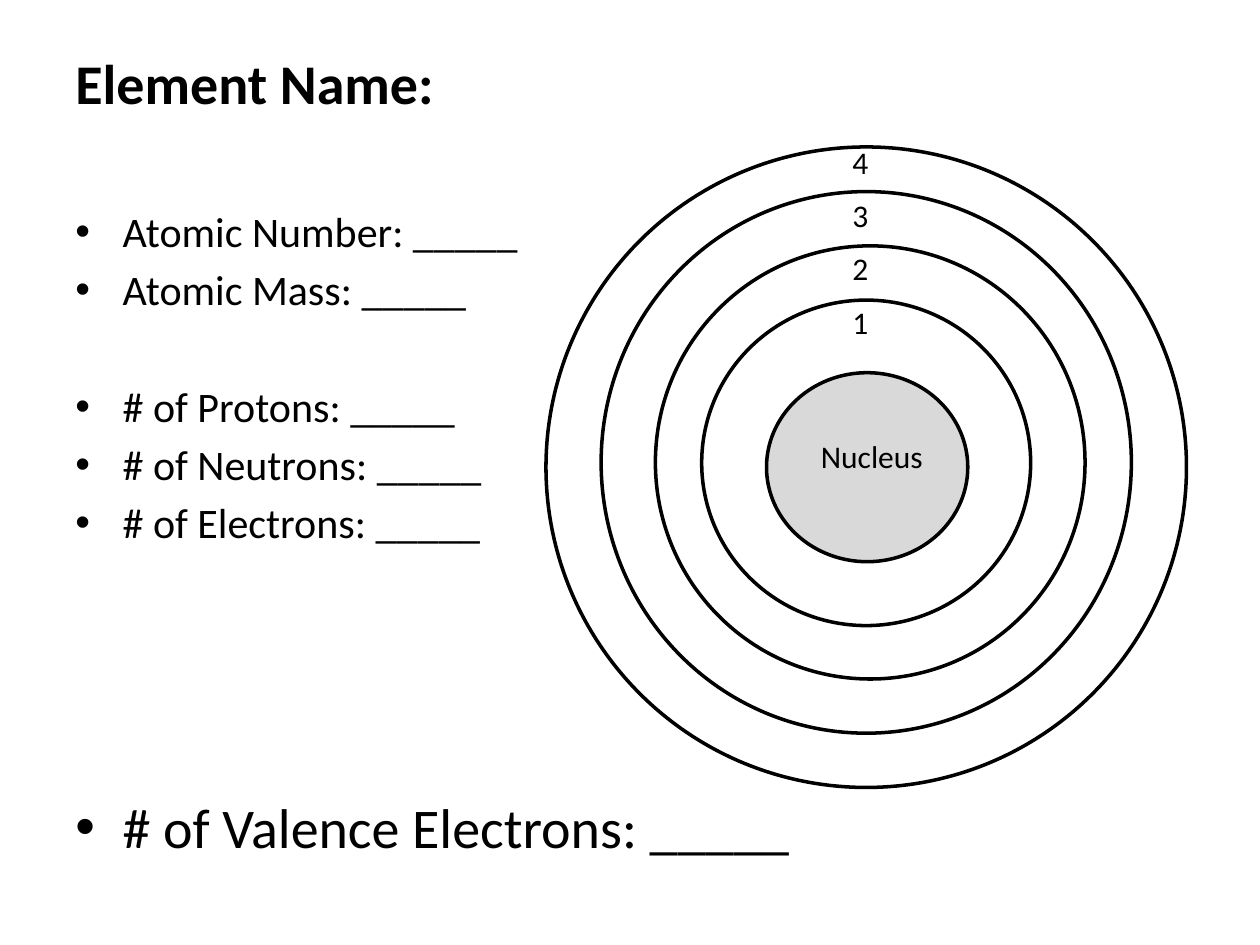
from lxml.etree import SubElement
from pptx import Presentation
from pptx.dml.color import RGBColor
from pptx.enum.shapes import MSO_SHAPE
from pptx.enum.text import MSO_ANCHOR, MSO_AUTO_SIZE
from pptx.oxml.ns import qn
from pptx.util import Pt

BLACK = RGBColor(0, 0, 0)
NUCLEUS_GREY = RGBColor(0xD9, 0xD9, 0xD9)
HANGING = Pt(27)
FIELDS = [
    ("Atomic Number: _____", 24, 0),
    ("Atomic Mass: _____", 24, 4.4),
    ("# of Protons: _____", 24, 38),
    ("# of Neutrons: _____", 24, 4.4),
    ("# of Electrons: _____", 24, 4.4),
    ("# of Valence Electrons: _____", 32, 140),
]
RINGS = [
    (343.5, 109.5, 303, 309.5, None),
    (401, 171.5, 188, 186, None),
    (374.5, 140.5, 245.5, 247.5, None),
    (438, 213, 115, 108, NUCLEUS_GREY),
    (312, 84, 366, 366, None),
]
SHELL_COUNT = 4
SHELL_LABEL_TOP = 78
SHELL_LABEL_STEP = 30.5


def style(paragraph, size, bold=False):
    """Set the font of a whole paragraph."""
    font = paragraph.font
    font.name = "Calibri"
    font.size = Pt(size)
    font.bold = bold
    font.color.rgb = BLACK


def add_text_frame(slide, left, top, width, height, wrap=True):
    """Add an empty text box and return its frame."""
    box = slide.shapes.add_textbox(Pt(left), Pt(top), Pt(width), Pt(height))
    box.text_frame.word_wrap = wrap
    return box.text_frame


def add_title(slide, wording):
    """Add the bold heading."""
    heading = add_text_frame(slide, 36, 21.6, 648, 50.4)
    heading.vertical_anchor = MSO_ANCHOR.MIDDLE
    heading.text = wording
    style(heading.paragraphs[0], 32, bold=True)


def add_fields(slide):
    """Add the bulleted blanks to fill in."""
    worksheet = add_text_frame(slide, 36, 114, 648, 426)
    for index, (wording, size, gap) in enumerate(FIELDS):
        field = worksheet.add_paragraph() if index else worksheet.paragraphs[0]
        field.text = wording
        properties = field._p.get_or_add_pPr()
        properties.set("marL", str(HANGING))
        properties.set("indent", str(-HANGING))
        SubElement(properties, qn("a:buFont"), typeface="Arial")
        SubElement(properties, qn("a:buChar"), char="•")
        style(field, size)
        if gap:
            field.space_before = Pt(gap)


def add_atom(slide):
    """Add the grouped shells and nucleus."""
    atom = slide.shapes.add_group_shape()
    for *bounds, colour in RINGS:
        ring = atom.shapes.add_shape(MSO_SHAPE.OVAL, *map(Pt, bounds))
        ring.shadow.inherit = False
        ring.line.color.rgb = BLACK
        ring.line.width = Pt(2)
        if colour is None:
            ring.fill.background()
        else:
            ring.fill.solid()
            ring.fill.fore_color.rgb = colour


def add_label(slide, wording, left, top, width):
    """Add a small label inside the atom."""
    label = add_text_frame(slide, left, top, width, 29, wrap=False)
    label.auto_size = MSO_AUTO_SIZE.SHAPE_TO_FIT_TEXT
    label.text = wording
    style(label.paragraphs[0], 18)


def main():
    """Build the atom worksheet slide."""
    presentation = Presentation()
    presentation.slide_width = Pt(720)
    presentation.slide_height = Pt(540)
    slide = presentation.slides.add_slide(presentation.slide_layouts[6])
    add_title(slide, "Element Name:")
    add_fields(slide)
    add_atom(slide)
    for shell in range(1, SHELL_COUNT + 1):
        top = SHELL_LABEL_TOP + (SHELL_COUNT - shell) * SHELL_LABEL_STEP
        add_label(slide, str(shell), 480, top, 23.5)
    add_label(slide, "Nucleus", 462, 246, 73.5)
    presentation.save("out.pptx")


if __name__ == "__main__":
    main()
